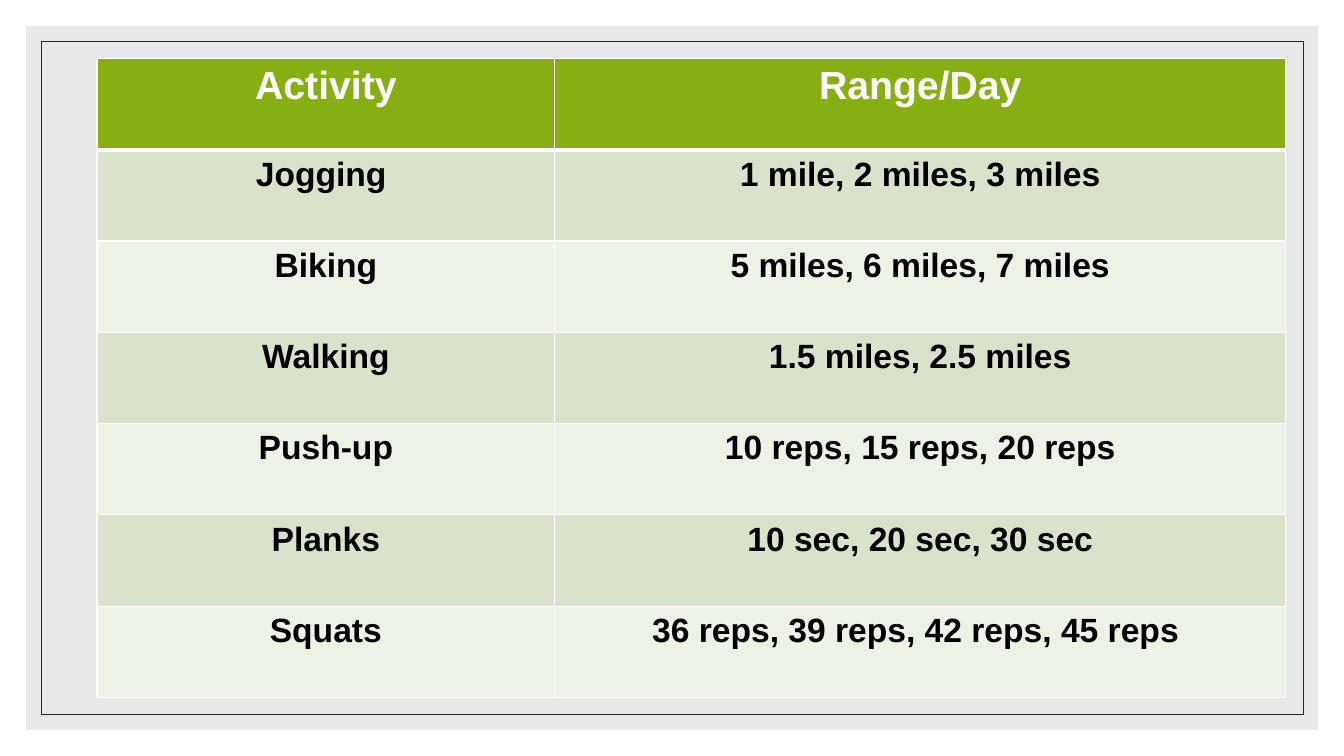
from pptx import Presentation
from pptx.dml.color import RGBColor as Color
from pptx.enum.shapes import MSO_SHAPE as Shape
from pptx.enum.text import MSO_ANCHOR as Anchor, PP_ALIGN as Align
from pptx.oxml import parse_xml as make
from pptx.oxml.ns import nsdecls, qn
from pptx.util import Inches, Pt

WHITE = Color(0xFF, 0xFF, 0xFF)
BLACK = Color(0x00, 0x00, 0x00)
GRAY = Color(0xD9, 0xD9, 0xD9)
DARK = Color(0x26, 0x26, 0x26)
GREEN = Color(0x87, 0xAF, 0x13)
SAGE = Color(0xD9, 0xE3, 0xCC)
PALE = Color(0xED, 0xF2, 0xE7)

HEAD = ("Activity", "Range/Day")
PLAN = [
    ("Jogging ", "1 mile, 2 miles, 3 miles"),
    ("Biking", "5 miles, 6 miles, 7 miles"),
    ("Walking", "1.5 miles, 2.5 miles"),
    ("Push-up", "10 reps, 15 reps, 20 reps"),
    ("Planks", "10 sec, 20 sec, 30 sec"),
    ("Squats", "36 reps, 39 reps, 42 reps, 45 reps "),
]


class Deck:
    """Hold the style and the current slide, with lengths in percent of its size."""

    def __init__(self):
        self.show = Presentation()
        self.show.slide_width, self.show.slide_height = Inches(13.33), Inches(7.5)
        self.slide = self.show.slides.add_slide(self.show.slide_layouts[6])
        self.font = {"name": "Arial", "bold": True}
        self.pad = {
            "margin_left": Inches(0.12), "margin_right": Inches(0.12),
            "margin_top": Inches(0.06), "margin_bottom": Inches(0.06),
            "vertical_anchor": Anchor.TOP,
        }

    def apply(self, item, values):
        for name, value in values.items():
            setattr(item, name, value)

    def wide(self, share):
        return round(self.show.slide_width * share / 100)

    def high(self, share):
        return round(self.show.slide_height * share / 100)

    def panel(self, side, top, fill=None, line=None, alpha=100):
        box = self.slide.shapes.add_shape(
            Shape.RECTANGLE, self.wide(side), self.high(top),
            self.wide(100 - 2 * side), self.high(100 - 2 * top))
        box.shadow.inherit = False
        if fill is None:
            box.fill.background()
        else:
            box.fill.solid()
            box.fill.fore_color.rgb = fill
        if alpha < 100:
            tint = box.fill._xPr.find(qn("a:solidFill"))[0]
            tint.append(make(f'<a:alpha {nsdecls("a")} val="{alpha * 1000}"/>'))
        if line is None:
            box.line.fill.background()
        else:
            box.line.color.rgb = line
            box.line.width = Pt(0.5)

    def edge(self, cell, side, width):
        cell._tc.get_or_add_tcPr().append(make(
            f'<a:ln{side} {nsdecls("a")} w="{Pt(width)}"><a:solidFill>'
            f'<a:srgbClr val="{WHITE}"/></a:solidFill></a:ln{side}>'))

    def cell(self, cell, text, fill, ink, size, rims):
        self.apply(cell, self.pad)
        for side in "LRTB":
            self.edge(cell, side, rims.get(side, 1))
        cell.fill.solid()
        cell.fill.fore_color.rgb = fill
        para = cell.text_frame.paragraphs[0]
        para.alignment = Align.CENTER
        run = para.add_run()
        run.text = text
        self.apply(run.font, {**self.font, "size": Pt(size)})
        run.font.color.rgb = ink

    def table(self, rows, left, top, width, height, parts):
        grid = self.slide.shapes.add_table(
            len(rows), len(parts), self.wide(left), self.high(top),
            self.wide(width), self.high(height)).table
        self.apply(grid, {"first_row": False, "horz_banding": False})
        for col, part in zip(grid.columns, parts):
            col.width = self.wide(width * part)
        for r, row in enumerate(rows):
            grid.rows[r].height = self.high(height / len(rows))
            if r == 0:
                look = (GREEN, WHITE, 28, {"B": 3})
            else:
                look = (SAGE if r % 2 else PALE, BLACK, 24, {"T": 3} if r == 1 else {})
            for c, text in enumerate(row):
                self.cell(grid.cell(r, c), text, *look)


def main():
    deck = Deck()
    deck.panel(0, 0, fill=WHITE)
    deck.panel(1.93, 3.47, fill=GRAY, alpha=60)
    deck.panel(3.05, 5.47, line=DARK)
    deck.table([HEAD, *PLAN], 7.22, 7.73, 88.45, 84.53, (0.385, 0.615))
    deck.show.save("out.pptx")


if __name__ == "__main__":
    main()
